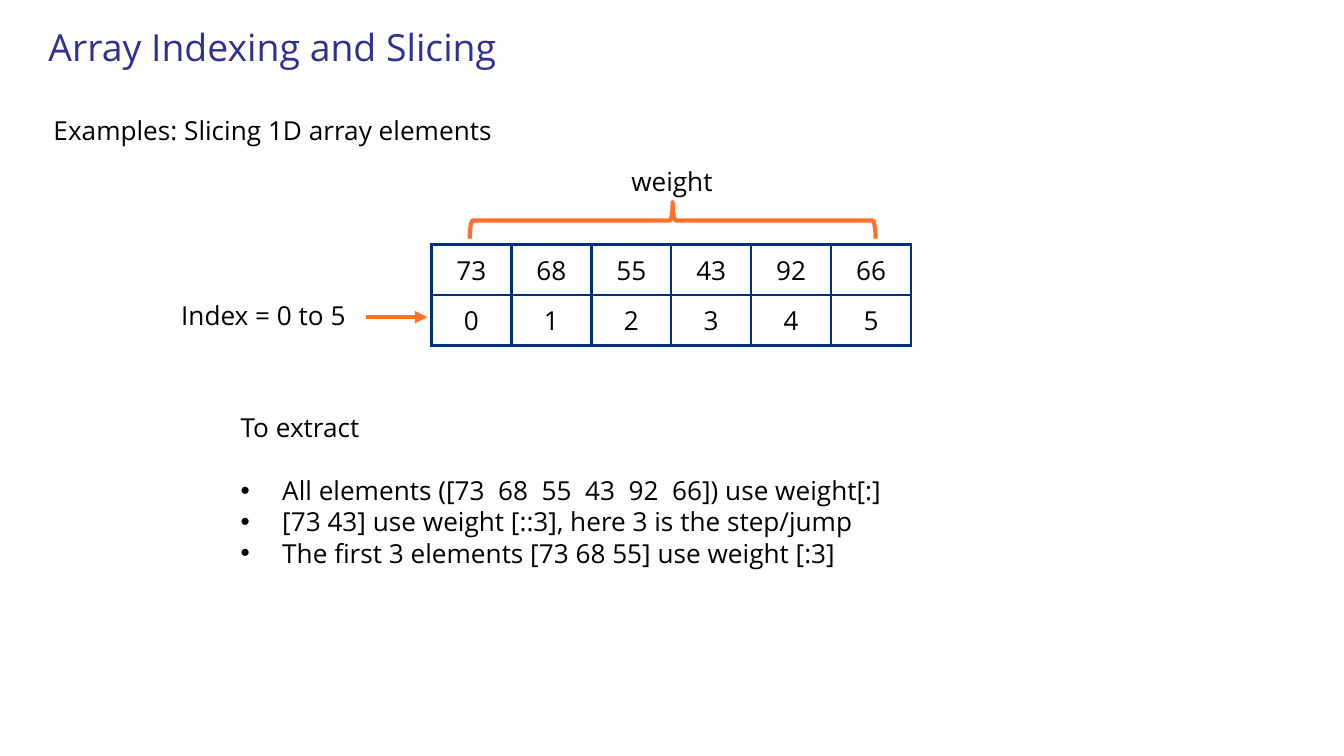
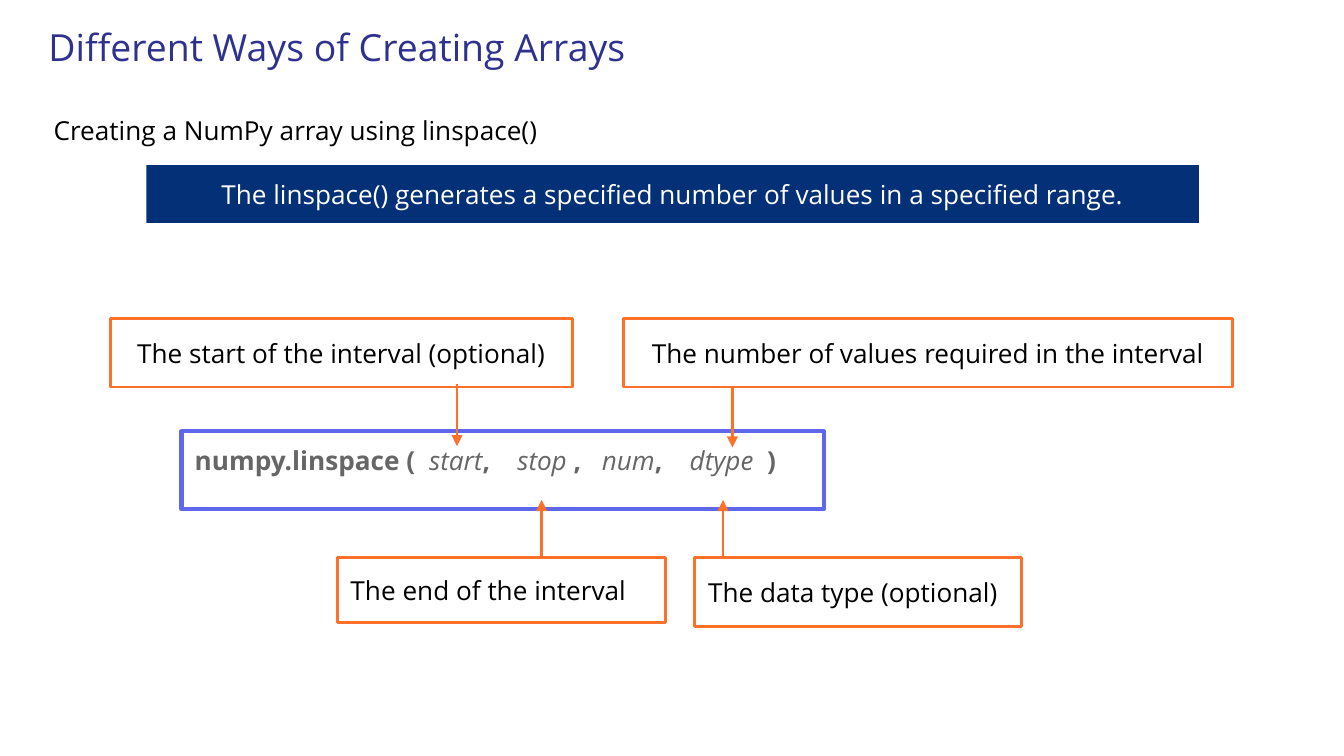
from dataclasses import dataclass

from lxml.etree import SubElement
from pptx import Presentation
from pptx.dml.color import RGBColor
from pptx.enum.shapes import MSO_CONNECTOR as CONN, MSO_SHAPE as SHAPE
from pptx.enum.text import MSO_ANCHOR as ANCHOR, MSO_AUTO_SIZE as FIT, PP_ALIGN as ALIGN
from pptx.oxml import parse_xml
from pptx.oxml.ns import nsdecls, qn
from pptx.util import Inches, Pt

FONT = "Open Sans"
COLORS = {
    "title": "2E318E",
    "text": "000000",
    "white": "FFFFFF",
    "navy": "043078",
    "orange": "FF712A",
    "violet": "5F68EA",
    "code": "666666",
}


@dataclass
class Box:
    left: float
    top: float
    width: float
    height: float

    def lengths(self) -> tuple:
        return tuple(Inches(v) for v in (self.left, self.top, self.width, self.height))


@dataclass
class Callout:
    text: str
    box: Box
    arrow_x: float
    arrow_from: float
    arrow_to: float
    align: ALIGN


TITLE_BOX = Box(0.26, 0.08, 6.21, 0.51)
WEIGHTS = [73, 68, 55, 43, 92, 66]
EXTRACTS = [
    "All elements ([73  68  55  43  92  66]) use weight[:]",
    "[73 43] use weight [::3], here 3 is the step/jump",
    "The first 3 elements [73 68 55] use weight [:3]",
]
SIGNATURE = [
    ("numpy.linspace (  ", False),
    ("start", True),
    (",    ", False),
    ("stop ", True),
    (",   ", False),
    ("num", True),
    (",    ", False),
    ("dtype  ", True),
    (")", False),
]
CALLOUTS = [
    Callout("The start of the interval (optional)", Box(0.82, 2.37, 3.44, 0.51),
            3.4, 2.86, 3.32, ALIGN.CENTER),
    Callout("The number of values required in the interval", Box(4.64, 2.37, 4.53, 0.51),
            5.45, 2.87, 3.33, ALIGN.CENTER),
    Callout("The end of the interval", Box(2.51, 4.15, 2.44, 0.48),
            4.03, 4.14, 3.72, ALIGN.LEFT),
    Callout("The data type (optional)", Box(5.17, 4.15, 2.43, 0.51),
            5.38, 4.14, 3.72, ALIGN.LEFT),
]


def rgb(name: str) -> RGBColor:
    return RGBColor.from_string(COLORS[name])


def style(p, color: str = "text", size: int = 14, align: ALIGN = ALIGN.LEFT) -> None:
    p.alignment = align
    p.font.name = FONT
    p.font.size = Pt(size)
    p.font.color.rgb = rgb(color)


def set_insets(tf, x: float = 0.1, y: float = 0.1) -> None:
    tf.margin_left = tf.margin_right = Inches(x)
    tf.margin_top = tf.margin_bottom = Inches(y)


def place(sp, box: Box) -> None:
    sp.left, sp.top, sp.width, sp.height = box.lengths()


def add_slide(prs, layout: int, title: str):
    slide = prs.slides.add_slide(prs.slide_layouts[layout])
    sp = slide.shapes.title
    place(sp, TITLE_BOX)
    tf = sp.text_frame
    tf.text = title
    tf.auto_size = FIT.NONE
    tf.vertical_anchor = ANCHOR.TOP
    set_insets(tf)
    style(tf.paragraphs[0], "title", 20)
    return slide


def add_label(slide, text: str, box: Box, align: ALIGN = ALIGN.LEFT) -> None:
    tf = slide.shapes.add_textbox(*box.lengths()).text_frame
    tf.word_wrap = True
    tf.auto_size = FIT.SHAPE_TO_FIT_TEXT
    tf.text = text
    style(tf.paragraphs[0], align=align)


def add_shape(slide, kind: SHAPE, box: Box, line: str = "", width: float = 1.5,
              fill: str = ""):
    sp = slide.shapes.add_shape(kind, *box.lengths())
    sp.shadow.inherit = False
    if fill:
        sp.fill.solid()
        sp.fill.fore_color.rgb = rgb(fill)
    else:
        sp.fill.background()
    if line:
        sp.line.color.rgb = rgb(line)
        sp.line.width = Pt(width)
    else:
        sp.line.fill.background()
    return sp


def add_text_box(slide, text: str, box: Box, line: str = "", fill: str = "",
                 color: str = "text", align: ALIGN = ALIGN.CENTER) -> None:
    tf = add_shape(slide, SHAPE.RECTANGLE, box, line, fill=fill).text_frame
    tf.text = text
    tf.vertical_anchor = ANCHOR.MIDDLE
    set_insets(tf, y=0.05)
    style(tf.paragraphs[0], color, align=align)


def add_arrow(slide, x1: float, y1: float, x2: float, y2: float, width: float) -> None:
    ends = (Inches(v) for v in (x1, y1, x2, y2))
    line = slide.shapes.add_connector(CONN.STRAIGHT, *ends)
    line.line.color.rgb = rgb("orange")
    line.line.width = Pt(width)
    SubElement(line.line._get_or_add_ln(), qn("a:tailEnd"), type="triangle")
    SubElement(line._element.spPr, qn("a:effectLst"))


def add_borders(cell) -> None:
    tc_pr = cell._tc.get_or_add_tcPr()
    for i, side in enumerate(("lnL", "lnR", "lnT", "lnB")):
        tc_pr.insert(i, parse_xml(
            f'<a:{side} {nsdecls("a")} w="{Pt(1.5)}"><a:solidFill>'
            f'<a:srgbClr val="{COLORS["navy"]}"/></a:solidFill></a:{side}>'))


def add_array_table(slide, rows: list, box: Box) -> None:
    frame = slide.shapes.add_table(len(rows), len(rows[0]), *box.lengths())
    table = frame.table
    table.first_row = table.horz_banding = False
    for r, values in enumerate(rows):
        for c, value in enumerate(values):
            cell = table.cell(r, c)
            cell.text = str(value)
            cell.vertical_anchor = ANCHOR.MIDDLE
            set_insets(cell, 0.07, 0)
            cell.fill.background()
            add_borders(cell)
            style(cell.text_frame.paragraphs[0], align=ALIGN.CENTER)


def add_bullets(sp, heading: str, items: list, box: Box) -> None:
    place(sp, box)
    tf = sp.text_frame
    tf.auto_size = FIT.NONE
    tf.text = "\n".join([heading, *items])
    for i, p in enumerate(tf.paragraphs):
        indent = Inches(0.31) if i else 0
        p_pr = p._p.get_or_add_pPr()
        p_pr.set("marL", str(indent))
        p_pr.set("indent", str(-indent))
        if i:
            SubElement(p_pr, qn("a:buFont"), typeface="Arial")
            SubElement(p_pr, qn("a:buChar"), char="•")
        else:
            SubElement(p_pr, qn("a:buNone"))
        p.space_before = Pt(17 if i == 1 else 0)
        style(p)


def build_slicing(prs) -> None:
    slide = add_slide(prs, 1, "Array Indexing and Slicing")
    add_label(slide, "Examples: Slicing 1D array elements", Box(0.3, 0.8, 4.3, 0.34))
    add_array_table(slide, [WEIGHTS, list(range(len(WEIGHTS)))],
                    Box(3.21, 1.82, 3.57, 0.75))
    brace = add_shape(slide, SHAPE.RIGHT_BRACE, Box(4.87, 0.13, 0.27, 3.02),
                      "orange", 2.25)
    brace.rotation = 270
    add_label(slide, "weight", Box(3.81, 1.18, 2.38, 0.34), ALIGN.CENTER)
    add_label(slide, "Index = 0 to 5", Box(1.25, 2.18, 1.44, 0.34))
    add_arrow(slide, 2.72, 2.36, 3.18, 2.36, 2.25)
    add_bullets(slide.placeholders[1], "To extract", EXTRACTS,
                Box(1.69, 3.01, 6.62, 1.28))


def build_linspace(prs) -> None:
    slide = add_slide(prs, 5, "Different Ways of Creating Arrays")
    add_label(slide, "Creating a NumPy array using linspace()", Box(0.3, 0.8, 6.78, 0.34))
    add_text_box(slide,
                 "The linspace() generates a specified number of values in a specified range.",
                 Box(1.09, 1.23, 7.83, 0.43), fill="navy", color="white")
    signature = add_shape(slide, SHAPE.RECTANGLE, Box(1.35, 3.21, 4.78, 0.58),
                          "violet", 2.25)
    tf = signature.text_frame
    tf.vertical_anchor = ANCHOR.TOP
    set_insets(tf)
    p = tf.paragraphs[0]
    style(p, "code")
    for text, is_argument in SIGNATURE:
        r = p.add_run()
        r.text = text
        r.font.bold = not is_argument
        r.font.italic = is_argument
    for callout in CALLOUTS:
        add_text_box(slide, callout.text, callout.box, "orange", align=callout.align)
        add_arrow(slide, callout.arrow_x, callout.arrow_from,
                  callout.arrow_x, callout.arrow_to, 1.5)


def main() -> None:
    prs = Presentation()
    prs.slide_width = Inches(10)
    prs.slide_height = prs.slide_width * 9 // 16
    build_slicing(prs)
    build_linspace(prs)
    prs.save("out.pptx")


if __name__ == "__main__":
    main()
